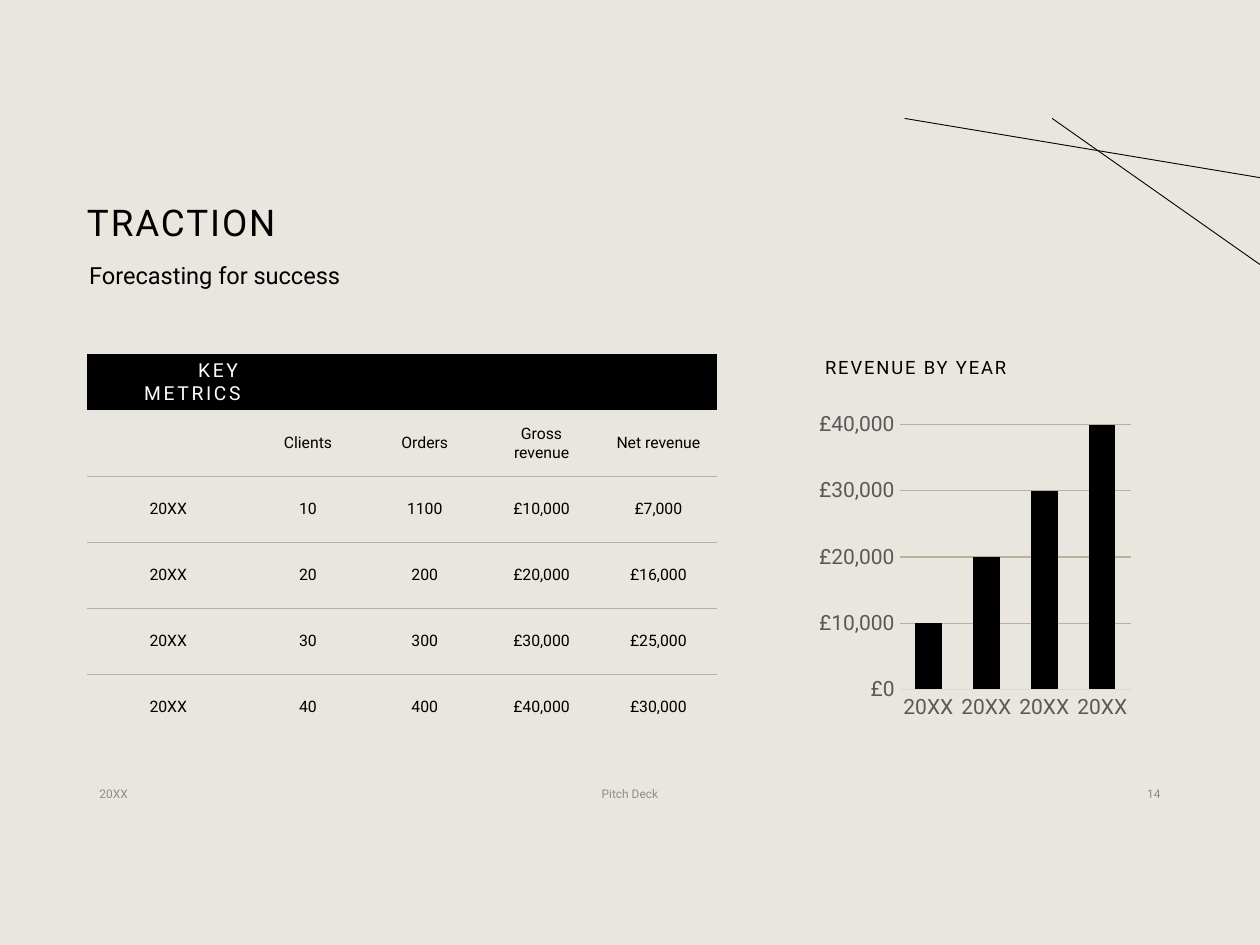
from lxml import etree
from pptx import Presentation
from pptx import util as u
from pptx.chart import data as chart_data
from pptx.dml import color
from pptx.enum import chart as chart_enum, shapes, text
from pptx.oxml import ns

FONT = "Roboto"
COLORS = {"background": "E9E6DF", "ink": "000000", "white": "FFFFFF",
          "rule": "BBB19B", "axis": "D9D9D9", "label": "595959", "footer": "8C8C8C"}
NO_STYLE = "{2D5ABB26-0587-4C30-8999-92F81FD0307C}"
METRICS = [
    ["KEY METRICS", "", "", "", ""],
    ["", "Clients", "Orders", "Gross revenue", "Net revenue"],
    ["20XX", "10", "1100", "£10,000", "£7,000"],
    ["20XX", "20", "200", "£20,000", "£16,000"],
    ["20XX", "30", "300", "£30,000", "£25,000"],
    ["20XX", "40", "400", "£40,000", "£30,000"],
]


def rgb(name):
    """Return the named colour."""
    return color.RGBColor.from_string(COLORS[name])


def inches(box):
    """Convert a sequence of numbers to lengths."""
    return [u.Inches(value) for value in box]


def style_font(font, size, color_name):
    """Set the typeface, size and colour of a font."""
    font.name = FONT
    font.size = u.Pt(size)
    font.color.rgb = rgb(color_name)


def write(frame, words, size, color_name="ink", align=text.PP_ALIGN.LEFT, tracking=0, leading=None):
    """Write one styled run in the first paragraph of a text frame."""
    paragraph = frame.paragraphs[0]
    paragraph.alignment = align
    paragraph.line_spacing = leading
    run = paragraph.add_run()
    run.text = words
    style_font(run.font, size, color_name)
    run.font._element.set("spc", str(round(tracking * 100)))


def add_title(slide, box, words):
    """Place and format the title placeholder."""
    title = slide.shapes.title
    title.left, title.top, title.width, title.height = inches(box)
    frame = title.text_frame
    frame.vertical_anchor = text.MSO_ANCHOR.MIDDLE
    frame.margin_left = 0
    frame.margin_right = u.Inches(0.07)
    frame.margin_top = frame.margin_bottom = u.Inches(0.04)
    write(frame, words, 21, tracking=1.1, leading=0.9)


def add_label(slide, box, words, size, anchor=text.MSO_ANCHOR.TOP, **style):
    """Add a wrapped text box with one line of text."""
    frame = slide.shapes.add_textbox(*inches(box)).text_frame
    frame.word_wrap = True
    frame.vertical_anchor = anchor
    write(frame, words, size, **style)


def add_bottom_rule(cell):
    """Draw a thin rule under a table cell."""
    rule = etree.Element(ns.qn("a:lnB"), w=str(u.Pt(1)))
    fill = etree.SubElement(rule, ns.qn("a:solidFill"))
    etree.SubElement(fill, ns.qn("a:srgbClr"), val=COLORS["rule"])
    cell._tc.get_or_add_tcPr().insert(0, rule)


def fill_cell(cell, words, is_header, has_rule):
    """Write and format one table cell."""
    cell.vertical_anchor = text.MSO_ANCHOR.MIDDLE
    cell.margin_left = cell.margin_right = u.Inches(0.07)
    cell.margin_top = cell.margin_bottom = u.Inches(0.04)
    if is_header:
        cell.fill.solid()
        cell.fill.fore_color.rgb = rgb("ink")
    else:
        cell.fill.background()
    if has_rule:
        add_bottom_rule(cell)
    if words and is_header:
        write(cell.text_frame, words, 11, "white", text.PP_ALIGN.RIGHT, 1.5)
    elif words:
        write(cell.text_frame, words, 9, align=text.PP_ALIGN.CENTER)


def add_metrics_table(slide, box):
    """Add the key metrics table with a black heading row."""
    row_count, column_count = len(METRICS), len(METRICS[0])
    table = slide.shapes.add_table(row_count, column_count, *inches(box)).table
    table.first_row = table.horz_banding = False
    table._tbl.tblPr.find(ns.qn("a:tableStyleId")).text = NO_STYLE
    first_width, header_height = 1.29, 0.25
    for index, column in enumerate(table.columns):
        rest = (box[2] - first_width) / (column_count - 1)
        column.width = u.Inches(rest if index else first_width)
    for index, row in enumerate(table.rows):
        rest = (box[3] - header_height) / (row_count - 1)
        row.height = u.Inches(rest if index else header_height)
        for cell, words in zip(row.cells, METRICS[index]):
            fill_cell(cell, words, index == 0, 0 < index < row_count - 1)


def add_revenue_chart(slide, box):
    """Add the column chart of revenue by year."""
    data = chart_data.CategoryChartData()
    data.categories = ["20XX"] * 4
    data.add_series("Series 1", [10000, 20000, 30000, 40000])
    kind = chart_enum.XL_CHART_TYPE.COLUMN_CLUSTERED
    chart = slide.shapes.add_chart(kind, *inches(box), data).chart
    chart.has_legend = chart.has_title = False
    style_font(chart.font, 10, "ink")
    plot = chart.plots[0]
    plot.gap_width, plot.overlap, plot.vary_by_categories = 118, -3, False
    fill = plot.series[0].format.fill
    fill.solid()
    fill.fore_color.rgb = rgb("ink")
    years, revenue = chart.category_axis, chart.value_axis
    for axis in (years, revenue):
        axis.major_tick_mark = axis.minor_tick_mark = chart_enum.XL_TICK_MARK.NONE
        style_font(axis.tick_labels.font, 12, "label")
    revenue.minimum_scale, revenue.maximum_scale, revenue.major_unit = 0, 40000, 10000
    revenue.tick_labels.number_format = '"£"#,##0'
    revenue.tick_labels.number_format_is_linked = False
    revenue.format.line.fill.background()
    for line, name in ((years.format.line, "axis"), (revenue.major_gridlines.format.line, "rule")):
        line.color.rgb = rgb(name)
        line.width = u.Pt(0.75)


def add_footer(slide, box):
    """Add the date, deck name and page number along the bottom."""
    left, top, width, height = box
    side, middle = 2.25, 3.38
    parts = [
        ("20XX", left, side, text.PP_ALIGN.LEFT),
        ("Pitch Deck", left + (width - middle) / 2, middle, text.PP_ALIGN.CENTER),
        ("14", left + width - side, side, text.PP_ALIGN.RIGHT),
    ]
    for words, part_left, part_width, align in parts:
        add_label(slide, (part_left, top, part_width, height), words, 6.8,
                  text.MSO_ANCHOR.MIDDLE, color_name="footer", align=align)


def add_corner_lines(slide, box):
    """Add two crossing lines that run to the right edge of the box."""
    left, top, width, height = box
    for start, drop in ((1.17, height), (0, 0.47)):
        ends = inches((left + start, top, left + width, top + drop))
        line = slide.shapes.add_connector(shapes.MSO_CONNECTOR.STRAIGHT, *ends)
        line.line.color.rgb = rgb("ink")
        line.line.width = u.Pt(0.5)
        etree.SubElement(line._element.spPr, ns.qn("a:effectLst"))


def main():
    """Build and save the traction slide."""
    presentation = Presentation()
    presentation.slide_width, presentation.slide_height = inches((10, 7.5))
    slide = presentation.slides.add_slide(presentation.slide_layouts[5])
    slide.background.fill.solid()
    slide.background.fill.fore_color.rgb = rgb("background")
    add_title(slide, (0.69, 1.24, 8.62, 1.09), "TRACTION")
    add_label(slide, (0.61, 2.05, 5.55, 0.41), "Forecasting for success", 13.5, leading=0.9)
    add_metrics_table(slide, (0.69, 2.81, 5, 2.87))
    add_label(slide, (6.45, 2.81, 2.58, 0.25), "REVENUE BY YEAR", 10.5, tracking=1.1, leading=0.8)
    add_revenue_chart(slide, (6.45, 3.22, 2.58, 2.54))
    add_footer(slide, (0.69, 6.15, 8.62, 0.3))
    add_corner_lines(slide, (7.18, 0.94, 2.82, 1.16))
    presentation.save("out.pptx")


if __name__ == "__main__":
    main()
